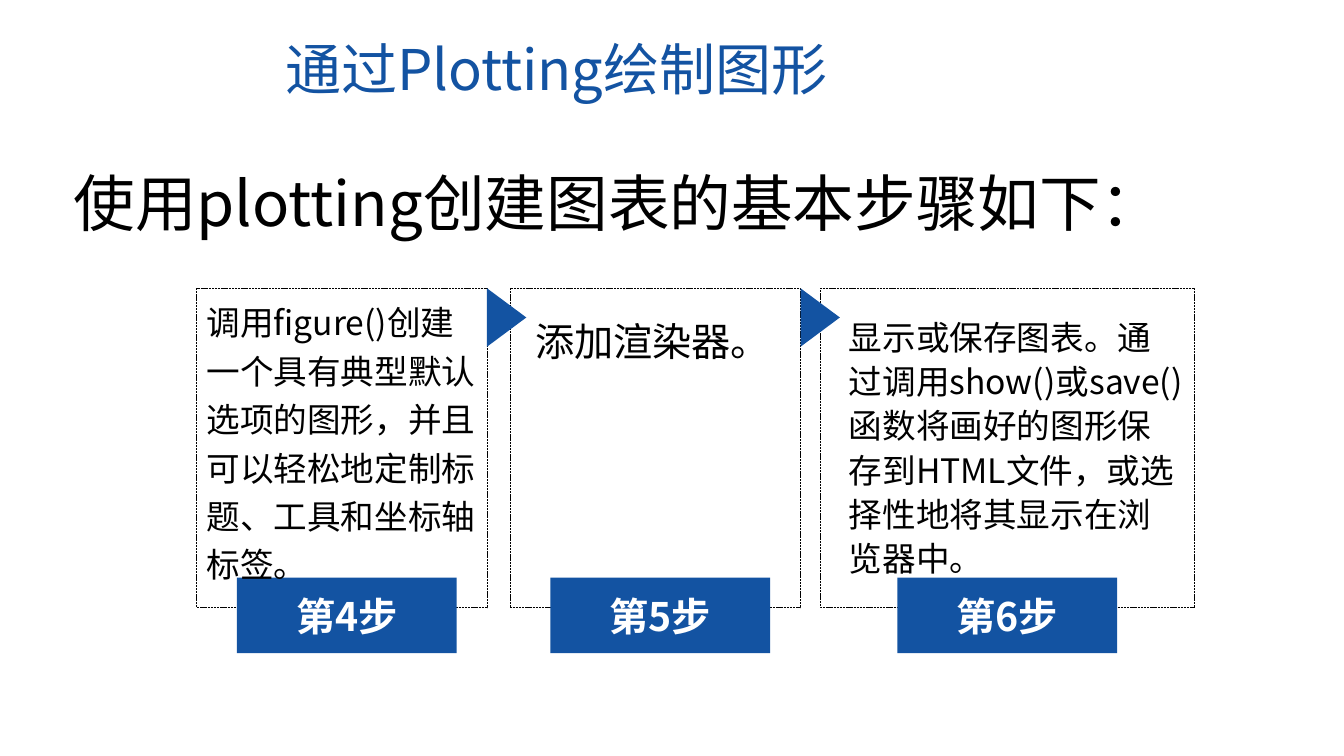
from lxml import etree
from pptx import Presentation
from pptx.dml.color import RGBColor
from pptx.enum.dml import MSO_LINE
from pptx.enum.shapes import MSO_SHAPE
from pptx.enum.text import MSO_ANCHOR, MSO_AUTO_SIZE, PP_ALIGN
from pptx.oxml.ns import qn
from pptx.util import Inches, Pt

BLUE = RGBColor(0x13, 0x53, 0xA2)
BLACK = RGBColor(0, 0, 0)
WHITE = RGBColor(0xFF, 0xFF, 0xFF)
FONT = "Noto Sans CJK SC"
RECTANGLE = MSO_SHAPE.RECTANGLE
TRIANGLE = MSO_SHAPE.FLOWCHART_EXTRACT
SHORT_DASH = MSO_LINE.SQUARE_DOT
LEFT, CENTER = PP_ALIGN.LEFT, PP_ALIGN.CENTER
TOP, MIDDLE = MSO_ANCHOR.TOP, MSO_ANCHOR.MIDDLE
GROW, FIXED = MSO_AUTO_SIZE.SHAPE_TO_FIT_TEXT, MSO_AUTO_SIZE.NONE

FRAME_TOP, FRAME_HEIGHT = 2.86, 3.17
LABEL_TOP, LABEL_WIDTH, LABEL_HEIGHT = 5.73, 2.18, 0.75
ARROW_WIDTH, ARROW_HEIGHT = 0.58, 0.39

STEPS = [
    {
        "label": "第4步", "frame": (1.95, 2.88), "label_left": 2.35,
        "text": "调用figure()创建一个具有典型默认选项的图形，并且可以轻松地定制标题、工具和坐标轴标签。",
        "box": (1.95, 2.87, 2.88, 3.01), "size": 24, "spacing": 1.2,
    },
    {
        "label": "第5步", "frame": (5.06, 2.88), "label_left": 5.46,
        "text": "添加渲染器。",
        "box": (5.21, 3.05, 2.91, 0.56), "size": 28, "spacing": 1.1,
    },
    {
        "label": "第6步", "frame": (8.14, 3.71), "label_left": 8.9,
        "text": "显示或保存图表。通过调用show()或save()函数将画好的图形保存到HTML文件，或选择性地将其显示在浏览器中。",
        "box": (8.32, 3.05, 3.52, 2.71), "size": 24, "spacing": 1.1,
    },
]


def inches(box):
    """Turn a tuple of numbers into lengths."""
    return [Inches(value) for value in box]


def write(shape, text, size, color=BLACK, bold=False, align=LEFT,
          anchor=TOP, spacing=1.0, fit=GROW):
    """Put one formatted paragraph into a shape."""
    frame = shape.text_frame
    frame.word_wrap = True
    frame.auto_size = fit
    frame.vertical_anchor = anchor
    paragraph = frame.paragraphs[0]
    paragraph.alignment = align
    paragraph.line_spacing = spacing
    run = paragraph.add_run()
    run.text = text
    run.font.size = Pt(size)
    run.font.bold = bold
    run.font.color.rgb = color
    run.font.name = FONT
    east_asian = etree.SubElement(run.font._element, qn("a:ea"))
    east_asian.set("typeface", FONT)


def add_title(slide, text, box):
    """Place and fill the title placeholder."""
    title = slide.shapes.title
    title.left, title.top, title.width, title.height = inches(box)
    write(title, text, 40, color=BLUE)


def add_text(slide, text, box, size, spacing):
    """Add a wrapping text box."""
    write(slide.shapes.add_textbox(*inches(box)), text, size, spacing=spacing)


def add_filled(slide, preset, box):
    """Add a blue shape without outline."""
    shape = slide.shapes.add_shape(preset, *inches(box))
    shape.shadow.inherit = False
    shape.fill.solid()
    shape.fill.fore_color.rgb = BLUE
    shape.line.fill.background()
    return shape


def add_frame(slide, left, width):
    """Add the dashed frame of a step."""
    box = (left, FRAME_TOP, width, FRAME_HEIGHT)
    frame = slide.shapes.add_shape(RECTANGLE, *inches(box))
    frame.shadow.inherit = False
    frame.fill.background()
    frame.line.color.rgb = BLACK
    frame.line.width = Pt(0.5)
    frame.line.dash_style = SHORT_DASH


def add_step(slide, step):
    """Add a step's frame, label and description."""
    add_frame(slide, *step["frame"])
    label = add_filled(slide, RECTANGLE,
                       (step["label_left"], LABEL_TOP, LABEL_WIDTH, LABEL_HEIGHT))
    write(label, step["label"], 28, color=WHITE, bold=True,
          align=CENTER, anchor=MIDDLE, fit=FIXED)
    add_text(slide, step["text"], step["box"], step["size"], step["spacing"])


def add_arrow(slide, step):
    """Add the triangle pointing right from a step's frame."""
    left, width = step["frame"]
    arrow_left = left + width - (ARROW_WIDTH - ARROW_HEIGHT) / 2
    arrow_top = FRAME_TOP + (ARROW_WIDTH - ARROW_HEIGHT) / 2
    arrow = add_filled(slide, TRIANGLE,
                       (arrow_left, arrow_top, ARROW_WIDTH, ARROW_HEIGHT))
    arrow.rotation = 90


def main():
    """Build and save the slide."""
    deck = Presentation()
    deck.slide_width, deck.slide_height = Inches(13.33), Inches(7.5)
    slide = deck.slides.add_slide(deck.slide_layouts.get_by_name("Title Only"))
    add_title(slide, "通过Plotting绘制图形", (2.73, 0.29, 5.88, 0.77))
    add_text(slide, "使用plotting创建图表的基本步骤如下：",
             (0.63, 1.44, 12.37, 0.91), 44, 1.2)
    for step in STEPS:
        add_step(slide, step)
    for step in STEPS[:-1]:
        add_arrow(slide, step)
    deck.save("out.pptx")


if __name__ == "__main__":
    main()
